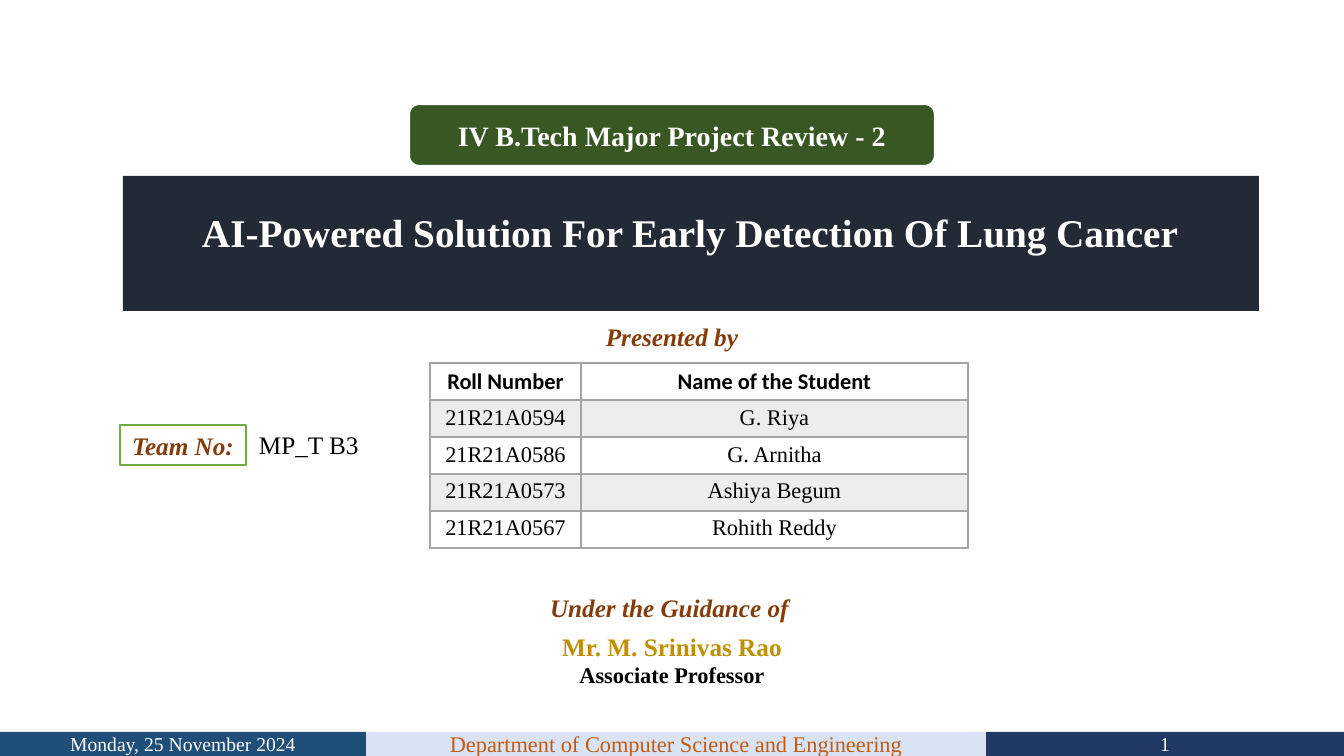
from lxml.etree import SubElement
from pptx import Presentation
from pptx.dml.color import RGBColor
from pptx.enum.shapes import MSO_SHAPE
from pptx.enum.text import MSO_ANCHOR, PP_ALIGN
from pptx.oxml.ns import qn
from pptx.util import Pt

SCALE = 914400 / 100.8
WIDE, HIGH = 1344, 756

WHITE = RGBColor(0xFF, 0xFF, 0xFF)
BLACK = RGBColor(0x00, 0x00, 0x00)
NAVY = RGBColor(0x22, 0x2A, 0x35)
BLUE = RGBColor(0x1F, 0x4E, 0x79)
PALE = RGBColor(0xDA, 0xE3, 0xF3)
DEEP = RGBColor(0x20, 0x38, 0x64)
GREEN = RGBColor(0x38, 0x57, 0x23)
LIME = RGBColor(0x70, 0xAD, 0x47)
BROWN = RGBColor(0x84, 0x3C, 0x0B)
RUST = RGBColor(0xC5, 0x5A, 0x11)
GOLD = RGBColor(0xBF, 0x90, 0x00)
GRAY = RGBColor(0xA5, 0xA5, 0xA5)
BAND = RGBColor(0xED, 0xED, 0xED)


def emu(*pixels):
    """Turn pixels into a list of EMU lengths."""
    return [round(p * SCALE) for p in pixels]


class Deck:
    """Holds the style and the current slide."""

    serif, sans = "Times New Roman", "Calibri"

    def __init__(self):
        """Open a deck with one blank slide."""
        self.show = Presentation()
        self.show.slide_width, self.show.slide_height = emu(WIDE, HIGH)
        self.slide = self.show.slides.add_slide(self.show.slide_layouts[6])

    def words(self, para, text, size, color, bold=False, slant=False,
              font=serif, align=PP_ALIGN.CENTER):
        """Add one styled run to a paragraph."""
        para.alignment = align
        run = para.add_run()
        run.text = text
        face = run.font
        face.name, face.size = font, Pt(size)
        face.bold, face.italic = bold, slant
        face.color.rgb = color

    def text(self, box, *lines, align=PP_ALIGN.CENTER):
        """Add a text box with one paragraph per line."""
        frame = self.slide.shapes.add_textbox(*emu(*box)).text_frame
        frame.word_wrap = True
        for i, line in enumerate(lines):
            para = frame.add_paragraph() if i else frame.paragraphs[0]
            self.words(para, *line, align=align)

    def shape(self, box, fill, line=None, edge=None, kind=MSO_SHAPE.RECTANGLE):
        """Add a filled shape, with a line of text and an edge if given."""
        item = self.slide.shapes.add_shape(kind, *emu(*box))
        item.shadow.inherit = False
        item.fill.solid()
        item.fill.fore_color.rgb = fill
        if edge:
            item.line.color.rgb, item.line.width = edge[0], Pt(edge[1])
        else:
            item.line.fill.background()
        if line:
            frame = item.text_frame
            frame.word_wrap = True
            frame.vertical_anchor = MSO_ANCHOR.MIDDLE
            self.words(frame.paragraphs[0], *line)

    def border(self, cell, top, base):
        """Draw the four gray borders of a cell, widths in points."""
        props = cell._tc.get_or_add_tcPr()
        sides = (("lnL", 1), ("lnR", 1), ("lnT", top), ("lnB", base))
        for i, (side, width) in enumerate(sides):
            edge = SubElement(props, qn("a:" + side), w=str(Pt(width)))
            fill = SubElement(edge, qn("a:solidFill"))
            SubElement(fill, qn("a:srgbClr"), val=str(GRAY))
            props.insert(i, edge)

    def table(self, left, top, cols, row, data):
        """Add a banded table whose first row is the header."""
        box = emu(left, top, sum(cols), row * len(data))
        grid = self.slide.shapes.add_table(len(data), len(cols), *box).table
        for col, width in zip(grid.columns, emu(*cols)):
            col.width = width
        for r, names in enumerate(data):
            grid.rows[r].height = emu(row)[0]
            for c, name in enumerate(names):
                cell = grid.cell(r, c)
                cell.fill.solid()
                cell.fill.fore_color.rgb = BAND if r % 2 else WHITE
                self.border(cell, 2 if r == 1 else 1, 1 if r else 2)
                self.words(cell.text_frame.paragraphs[0], name, 16, BLACK,
                           bold=r == 0, font=self.serif if r else self.sans)


def main():
    """Build the title slide."""
    deck = Deck()
    deck.shape((123, 176, 1136, 135), NAVY)
    left = 0
    for width, fill, line in (
        (366, BLUE, ("Monday, 25 November 2024", 14, WHITE)),
        (620, PALE, ("Department of Computer Science and Engineering", 16, RUST)),
        (358, DEEP, ("1", 14, WHITE)),
    ):
        deck.shape((left, 732, width, 24), fill, line)
        left += width
    deck.shape((409, 104, 526, 62), GREEN,
               ("IV B.Tech Major Project Review - 2", 20, WHITE, True),
               (WHITE, 1.5), MSO_SHAPE.ROUNDED_RECTANGLE)
    deck.text((490, 316, 364, 40), ("Presented by", 18, BROWN, True, True))
    deck.shape((120, 425, 126, 40), WHITE,
               ("Team No:", 18, BROWN, True, True), (LIME, 1))
    deck.text((507, 587, 331, 40),
              ("Under the Guidance of ", 18, BROWN, True, True))
    deck.text((127, 203, 1126, 57),
              ("AI-Powered Solution For Early Detection Of Lung Cancer",
               28, WHITE, True))
    deck.text((249, 424, 169, 40), ("MP_T B3", 18, BLACK),
              align=PP_ALIGN.LEFT)
    deck.table(430, 363, (151, 387), 37, (
        ("Roll Number", "Name of the Student"),
        ("21R21A0594", "G. Riya"),
        ("21R21A0586", "G. Arnitha"),
        ("21R21A0573", "Ashiya Begum"),
        ("21R21A0567", "Rohith Reddy"),
    ))
    deck.text((504, 626, 336, 68),
              ("Mr. M. Srinivas Rao", 18, GOLD, True),
              ("Associate Professor", 16, BLACK, True))
    deck.show.save("out.pptx")


main()
